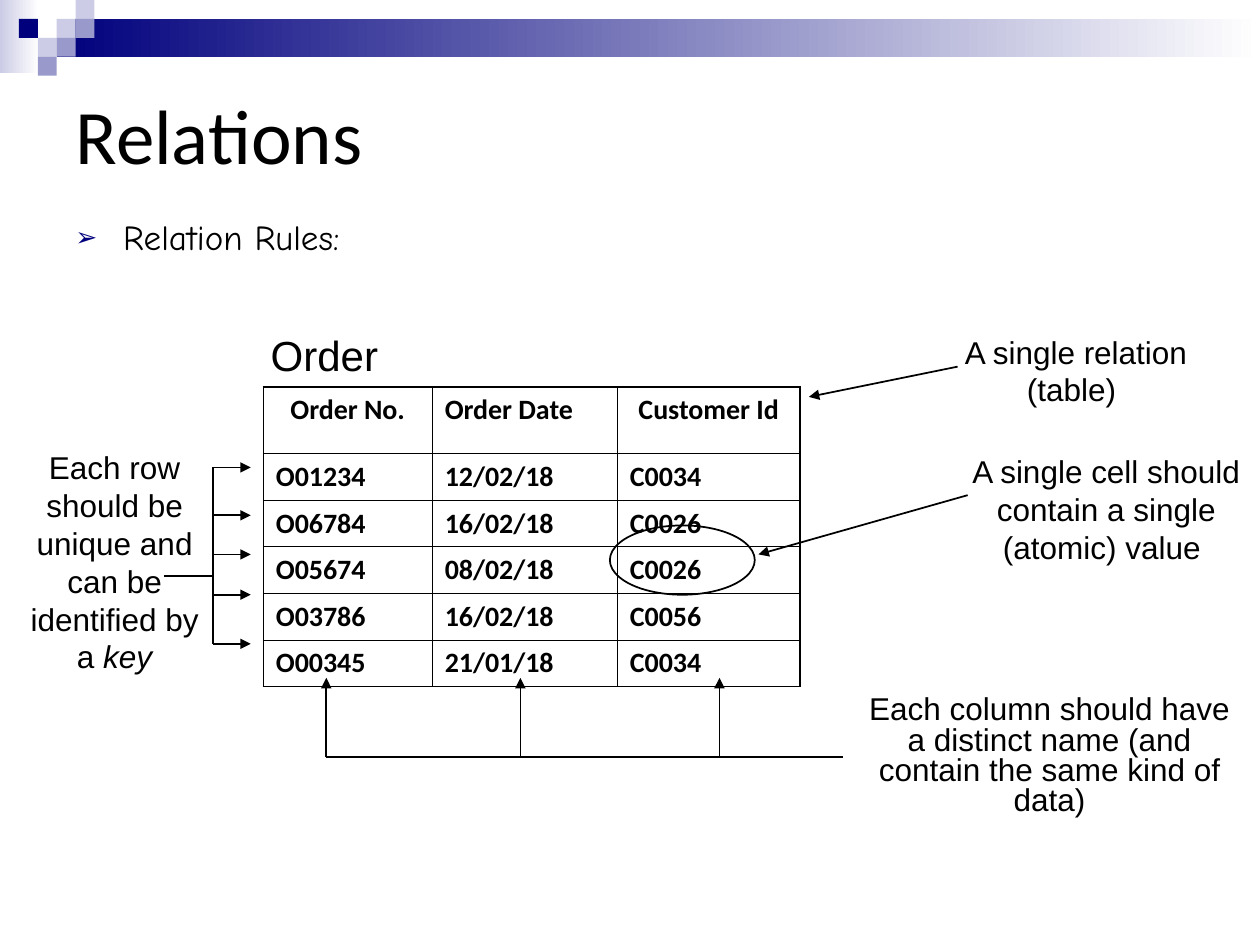
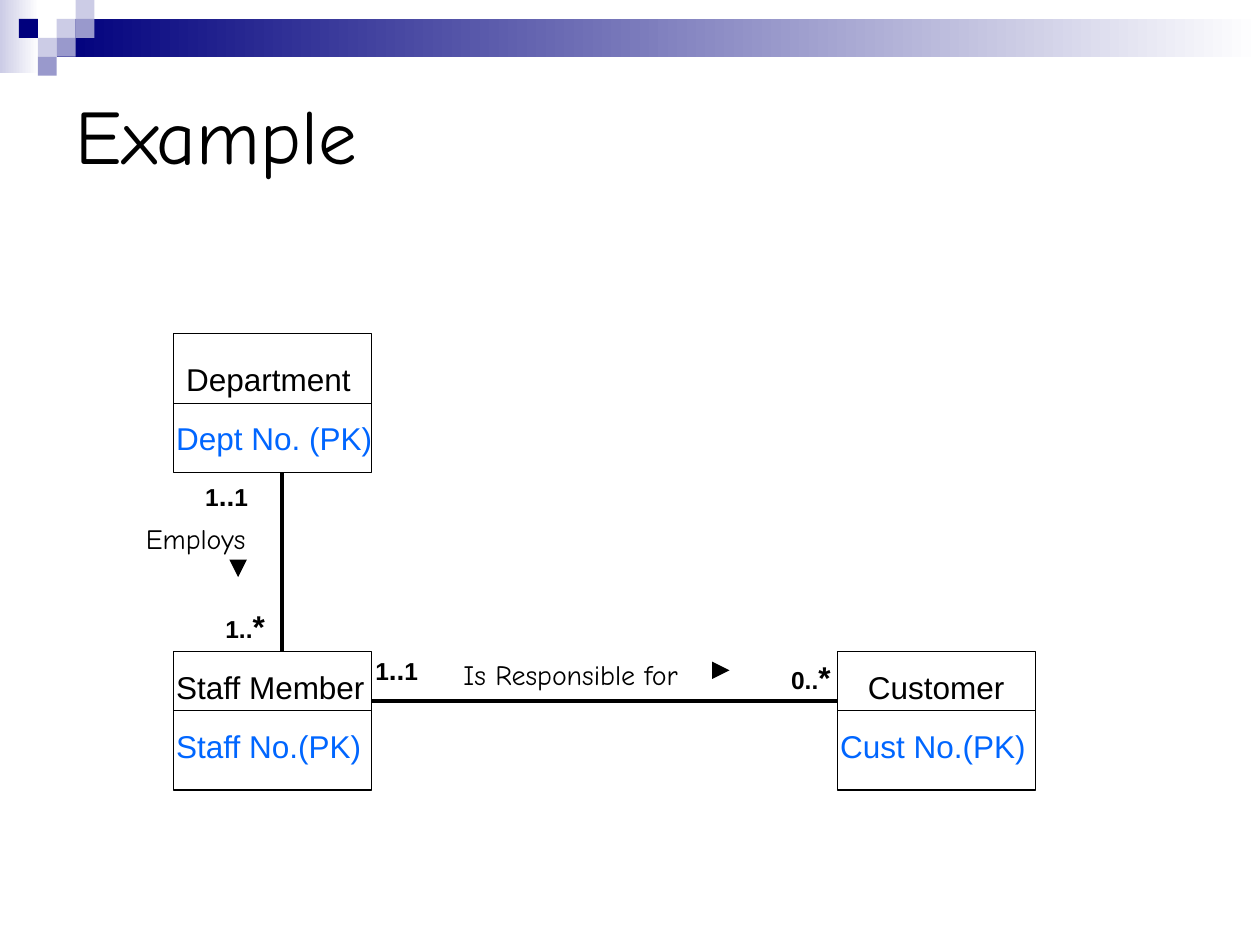
from dataclasses import dataclass

from lxml import etree
from pptx import Presentation
from pptx import util as u
from pptx.dml.color import RGBColor
from pptx.enum import shapes, text
from pptx.oxml.ns import qn

COLS, ROWS = 100, 75  # slide grid; one cell is a tenth of an inch


@dataclass(frozen=True)
class Theme:
    ink: str = "000000"
    navy: str = "00007D"
    mid: str = "9999CC"
    pale: str = "CCCCE6"
    white: str = "FFFFFF"
    key: str = "0066FF"
    sans: str = "Arial"
    serifless: str = "Calibri"
    hand: str = "Comic Neue"
    title: int = 44
    heading: int = 24
    bullet: int = 20
    body: int = 18
    label: int = 16
    small: int = 14
    hair: float = 0.45
    thin: float = 0.75
    line: float = 1
    edge: float = 1.08
    thick: float = 2.25


T = Theme()


class Deck:
    def __init__(self):
        self.prs = Presentation()
        self.prs.slide_width, self.prs.slide_height = u.Inches(10), u.Inches(7.5)
        self.slide = None

    def box(self, x, y, w, h):
        """Turn grid columns and rows into slide lengths."""
        col, row = self.prs.slide_width / COLS, self.prs.slide_height / ROWS
        return [u.Emu(round(n)) for n in (x * col, y * row, w * col, h * row)]

    def new_slide(self, title, font):
        self.slide = self.prs.slides.add_slide(self.prs.slide_layouts[5])
        self.bands()
        sp = self.slide.shapes.title
        sp.left, sp.top, sp.width, sp.height = self.box(5, 5, 90, 11.2)
        tf = sp.text_frame
        tf.auto_size = text.MSO_AUTO_SIZE.NONE
        tf.vertical_anchor = text.MSO_ANCHOR.MIDDLE
        p = tf.paragraphs[0]
        p.alignment = text.PP_ALIGN.LEFT
        self.run(p, title, size=T.title, font=font)

    def bands(self):
        self.shape(0, 0, 3.1, 5.8, fill=(T.pale, T.white))
        self.shape(4.5, 1.5, 95.5, 3, fill=(T.navy, T.white))
        side = 1.5
        for col, row, color in ((3, 1, T.pale), (4, 0, T.pale), (4, 1, T.mid),
                                (2, 2, T.pale), (1, 1, T.navy), (3, 2, T.mid),
                                (2, 3, T.mid)):
            self.shape(col * side, row * side, side, side, fill=(color,))

    def shape(self, x, y, w, h, kind=shapes.MSO_SHAPE.RECTANGLE, fill=(), line=None):
        """Two fill colours make a gradient, none leaves the shape open."""
        sp = self.slide.shapes.add_shape(kind, *self.box(x, y, w, h))
        sp.shadow.inherit = False
        if len(fill) == 2:
            sp.fill.gradient()
            sp.fill.gradient_angle = 0
            for i, stop in enumerate(sp.fill.gradient_stops):
                stop.color.rgb = RGBColor.from_string(fill[i])
                stop.position = i
        elif fill:
            sp.fill.solid()
            sp.fill.fore_color.rgb = RGBColor.from_string(fill[0])
        else:
            sp.fill.background()
        if line:
            sp.line.color.rgb = RGBColor.from_string(T.ink)
            sp.line.width = u.Pt(line)
        else:
            sp.line.fill.background()

    def run(self, p, words, size=T.body, font=T.sans, color=T.ink,
            bold=False, italic=False):
        r = p.add_run()
        r.text = words
        f = r.font
        f.size, f.name, f.bold, f.italic = u.Pt(size), font, bold, italic
        f.color.rgb = RGBColor.from_string(color)

    def text(self, x, y, w, h, *runs, center=False, spacing=None, **style):
        """Each run is (words, changes to the shared style)."""
        tf = self.slide.shapes.add_textbox(*self.box(x, y, w, h)).text_frame
        tf.word_wrap = True
        p = tf.paragraphs[0]
        p.alignment = text.PP_ALIGN.CENTER if center else text.PP_ALIGN.LEFT
        if spacing:
            p.line_spacing = spacing
        for words, changes in runs:
            self.run(p, words, **{**style, **changes})
        return p

    def bullet(self, x, y, w, h, words):
        p = self.text(x, y, w, h, (words, {}), spacing=0.9,
                      size=T.bullet, font=T.hand)
        pPr = p._p.get_or_add_pPr()
        indent = u.Inches(0.38)
        pPr.set("marL", str(indent))
        pPr.set("indent", str(-indent))
        color = etree.SubElement(pPr, qn("a:buClr"))
        etree.SubElement(color, qn("a:srgbClr"), val=T.navy)
        etree.SubElement(pPr, qn("a:buSzPct"), val="75000")
        etree.SubElement(pPr, qn("a:buFont"), typeface=T.sans)
        etree.SubElement(pPr, qn("a:buChar"), char="➢")

    def line(self, x1, y1, x2, y2, width=T.line, arrow=None):
        """arrow is the size of the head at the far end: med or lg."""
        c = self.slide.shapes.add_connector(
            shapes.MSO_CONNECTOR.STRAIGHT, *self.box(x1, y1, x2, y2))
        c.line.color.rgb = RGBColor.from_string(T.ink)
        c.line.width = u.Pt(width)
        spPr = c._element.spPr
        if arrow:
            etree.SubElement(spPr.find(qn("a:ln")), qn("a:tailEnd"),
                             type="triangle", w=arrow, len=arrow)
        etree.SubElement(spPr, qn("a:effectLst"))

    def table(self, x, y, widths, heights, rows, centered):
        frame = self.slide.shapes.add_table(
            len(rows), len(widths), *self.box(x, y, sum(widths), sum(heights)))
        tbl = frame.table
        tbl.first_row = tbl.horz_banding = False
        for col, w in zip(tbl.columns, widths):
            col.width = self.box(0, 0, w, 0)[2]
        for row, h in zip(tbl.rows, heights):
            row.height = self.box(0, 0, 0, h)[3]
        for i, row in enumerate(rows):
            for j, words in enumerate(row):
                cell = tbl.cell(i, j)
                cell.fill.background()
                p = cell.text_frame.paragraphs[0]
                if (i, j) in centered:
                    p.alignment = text.PP_ALIGN.CENTER
                self.run(p, words, size=T.label, font=T.serifless, bold=True)
                self.borders(cell, L=j == 0, R=j == len(row) - 1,
                             T=i == 0, B=i == len(rows) - 1)

    def borders(self, cell, **outer):
        tcPr = cell._tc.get_or_add_tcPr()
        for i, (side, is_outer) in enumerate(outer.items()):
            ln = etree.Element(qn("a:ln" + side))
            ln.set("w", str(u.Pt(T.edge if is_outer else T.hair)))
            fill = etree.SubElement(ln, qn("a:solidFill"))
            etree.SubElement(fill, qn("a:srgbClr"), val=T.ink)
            tcPr.insert(i, ln)

    def entity(self, x, y, split, name, key, name_dx):
        """A box with the entity name above its primary key."""
        w, h = 15.7, 11
        self.shape(x, y, w, h, line=T.thin)
        self.line(x, y + split, x + w, y + split, T.thin)
        self.text(x + name_dx, y + split - 3.9, 18, 4, (name, {}))
        self.text(x - 0.8, y + split + 0.8, 18.1, 4, (key, {}), color=T.key)


def relations(d):
    d.new_slide("Relations", T.serifless)
    d.bullet(5, 17, 93, 5.5, "Relation Rules:")

    # Order table
    d.text(20.5, 25.7, 20.9, 5, ("Order", {}), size=T.heading)
    d.table(20.9, 30.7, (13.4, 14.7, 14.5), [5.3] + [3.7] * 5, (
        ("Order No.", "Order Date", "Customer Id"),
        ("O01234", "12/02/18", "C0034"),
        ("O06784", "16/02/18", "C0026"),
        ("O05674", "08/02/18", "C0026"),
        ("O03786", "16/02/18", "C0056"),
        ("O00345", "21/01/18", "C0034"),
    ), centered={(0, 0), (0, 2)})

    # Row rule
    d.text(1.3, 35.1, 15.6, 19,
           ("Each row should be unique and can be identified by a ", {}),
           ("key", {"italic": True}), center=True)
    stem, row_ys = 16.9, (37.1, 40.9, 44, 47.2, 51.1)
    d.line(13, 45.7, stem, 45.7)
    d.line(stem, row_ys[0], stem, row_ys[-1])
    for y in row_ys:
        d.line(stem, y, stem + 3, y, arrow="med")

    # Column rule
    d.text(67.3, 54.8, 32, 10.6,
           ("Each column should have a distinct name (and contain the same kind of data)", {}),
           center=True, spacing=0.8)
    base, column_xs = 60.1, (25.9, 41.3, 57.1)
    d.line(column_xs[0], base, 66.9, base)
    for x in column_xs:
        d.line(x, base, x, 53.8, arrow="med")

    # Cell rule
    d.text(76, 35.4, 23.6, 10,
           ("A single cell should contain a single (atomic) value ", {}), center=True)
    d.line(76.8, 39.3, 60.2, 44, arrow="med")
    d.shape(48.4, 41.7, 11.5, 5.5, shapes.MSO_SHAPE.OVAL, line=T.line)

    # Table rule
    d.text(73.6, 25.9, 23.6, 7, ("A single relation (table) ", {}), center=True)
    d.line(76, 29.1, 64.2, 31.5, arrow="med")


def example(d):
    d.new_slide("Example", T.hand)

    # Entities
    left, right, top, bottom = 13.8, 66.5, 26.5, 51.7
    d.entity(left, top, 5.5, "Department", "Dept No. (PK)", 0)
    d.entity(left, bottom, 4.7, "Staff Member", "Staff No.(PK)", -0.8)
    d.entity(right, bottom, 4.7, "Customer", "Cust No.(PK)", 1.4)

    # Relationships and their reading direction
    d.line(22.4, 37.5, 22.4, bottom, T.thick)
    d.line(29.5, 55.6, right, 55.6, T.thick)
    d.text(10.6, 40.9, 12.6, 3.7, ("Employs", {}), size=T.label, font=T.hand)
    d.text(35.8, 51.7, 21.3, 3.7, ("Is Responsible for", {}),
           size=T.label, font=T.hand)
    d.line(18.9, 45, 18.9, 45.8, T.thin, arrow="lg")
    d.line(57.1, 53.2, 57.9, 53.2, T.thin, arrow="lg")

    # Multiplicities
    for x, y in ((15.3, 37.5), (28.8, 51.3)):
        d.text(x, y, 7.1, 3.7, ("1", {}), ("..", {"size": T.label}), ("1", {}),
               size=T.small, bold=True)
    for x, y, least in ((16.9, 47.7, "1.."), (61.8, 51.7, "0..")):
        d.text(x, y, 5.5, 4, (least, {}), ("*", {"size": T.body}),
               size=T.small, bold=True)


def main():
    d = Deck()
    relations(d)
    example(d)
    d.prs.save("out.pptx")


if __name__ == "__main__":
    main()
